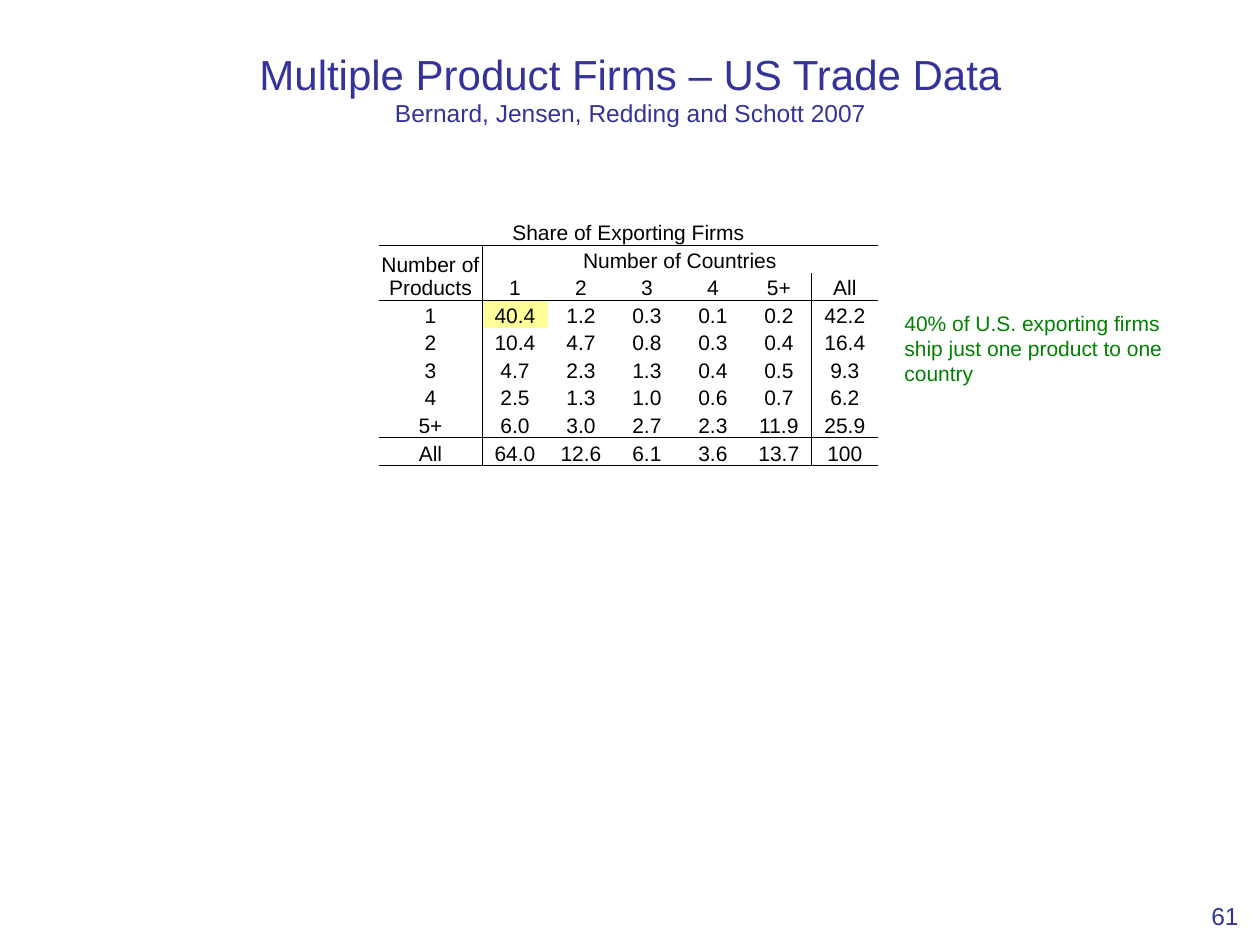
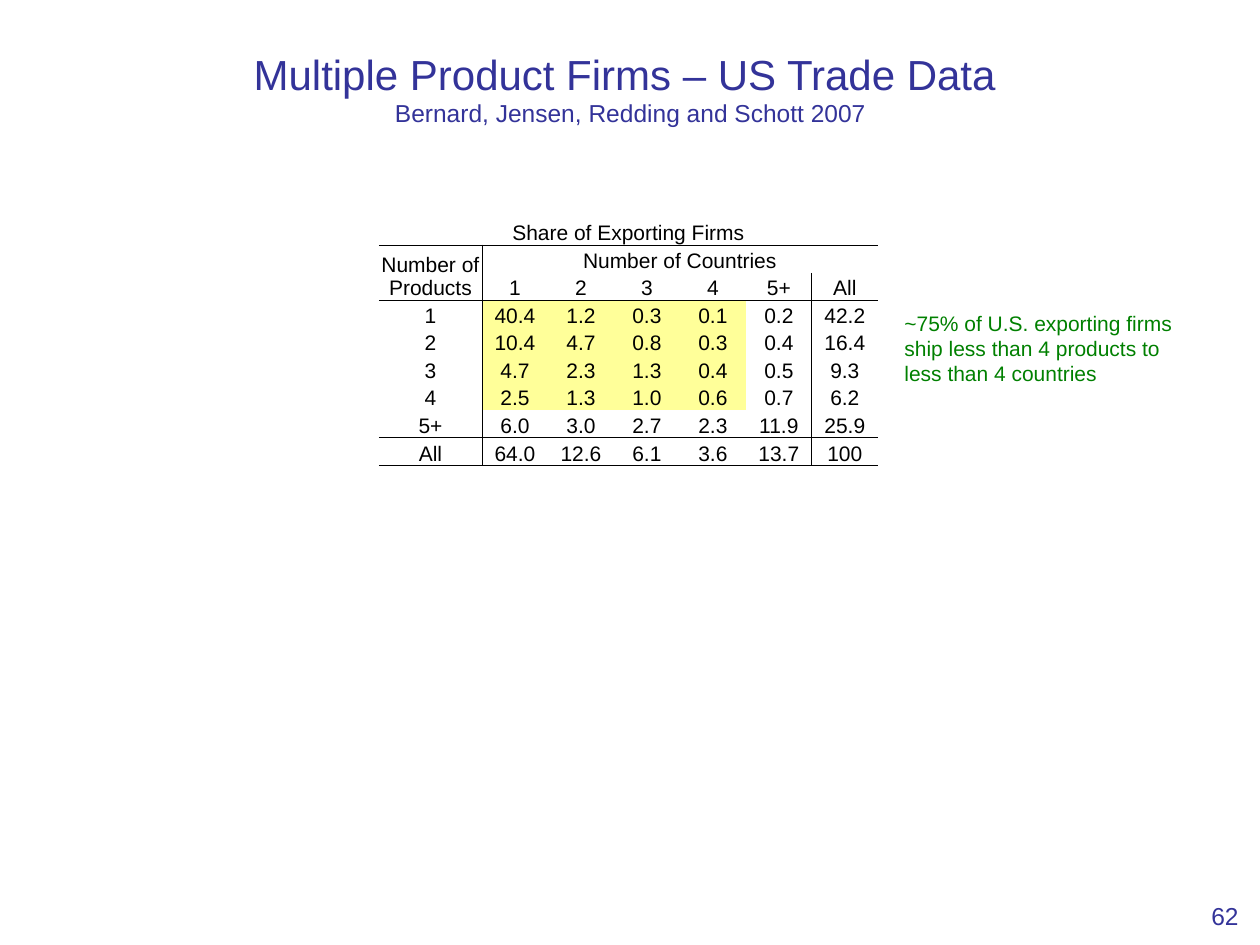
from dataclasses import dataclass

from lxml.etree import SubElement
from pptx import Presentation
from pptx.dml.color import RGBColor
from pptx.enum.text import MSO_ANCHOR, PP_ALIGN
from pptx.oxml.ns import qn
from pptx.slide import Slide
from pptx.table import Table, _Cell
from pptx.text.text import TextFrame
from pptx.util import Emu, Pt

FONT = "Arial"
COLORS = {"title": "333399", "text": "000000", "note": "008000", "mark": "FFFF99"}
NO_STYLE = "{2D5ABB26-0587-4C30-8999-92F81FD0307C}"
SUBTITLE = "Bernard, Jensen, Redding and Schott 2007"

SHARES = [
    ["Share of Exporting Firms"],
    ["Number of Products", "Number of Countries"],
    ["", "1", "2", "3", "4", "5+", "All"],
    ["1", "40.4", "1.2", "0.3", "0.1", "0.2", "42.2"],
    ["2", "10.4", "4.7", "0.8", "0.3", "0.4", "16.4"],
    ["3", "4.7", "2.3", "1.3", "0.4", "0.5", "9.3"],
    ["4", "2.5", "1.3", "1.0", "0.6", "0.7", "6.2"],
    ["5+", "6.0", "3.0", "2.7", "2.3", "11.9", "25.9"],
    ["All", "64.0", "12.6", "6.1", "3.6", "13.7", "100"],
]
MERGES = [((0, 0), (0, 6)), ((1, 0), (2, 0)), ((1, 1), (1, 6))]
COL_WIDTHS = [103] + [66] * 6
TABLE_HEIGHT = 248
FIRST_VALUE_ROW = 3
RULED_ROWS = {1, 3, 8, 9}
RULED_COLS = {1: 1, 6: 2}


@dataclass(frozen=True)
class Box:
    x: int
    y: int
    w: int
    h: int


@dataclass(frozen=True)
class ShareSlide:
    title: str
    number: str
    marked: int
    note: str


TITLE_BOX = Box(49, 38, 1163, 100)
NUMBER_BOX = Box(1183, 864, 68, 66)
TABLE_BOX = Box(379, 218, sum(COL_WIDTHS), TABLE_HEIGHT)
NOTE_BOX = Box(892, 304, 295, 89)

SLIDES = [
    ShareSlide("Multiple Product Firms – US Trade Data", "61", 1,
               "40% of U.S. exporting firms ship just one product to one country"),
    ShareSlide("Multiple Product Firms – US Trade Data ", "62", 4,
               "~75% of U.S. exporting firms ship less than 4 products to less than 4 countries"),
]


def px(n: int) -> Emu:
    return Emu(round(n * 914400 / 126))


def place(box: Box) -> list[Emu]:
    return [px(n) for n in (box.x, box.y, box.w, box.h)]


def write(tf: TextFrame, text: str, size: int, color: str, align: PP_ALIGN) -> None:
    p = tf.paragraphs[0]
    p.alignment = align
    p.font.name = FONT
    p.font.size = Pt(size)
    p.font.color.rgb = RGBColor.from_string(COLORS[color])
    p.add_run().text = text


def add_text(s: Slide, box: Box, text: str, size: int, color: str,
             align: PP_ALIGN, anchor: MSO_ANCHOR = MSO_ANCHOR.TOP) -> TextFrame:
    tf = s.shapes.add_textbox(*place(box)).text_frame
    tf.word_wrap = True
    tf.vertical_anchor = anchor
    write(tf, text, size, color, align)
    return tf


def add_title(s: Slide, title: str) -> None:
    tf = add_text(s, TITLE_BOX, title, 24, "title", PP_ALIGN.CENTER, MSO_ANCHOR.MIDDLE)
    p = tf.paragraphs[0]
    p.add_line_break()
    r = p.add_run()
    r.text = SUBTITLE
    r.font.size = Pt(14)


def add_number(s: Slide, number: str) -> None:
    tf = add_text(s, NUMBER_BOX, number, 14, "title", PP_ALIGN.RIGHT, MSO_ANCHOR.BOTTOM)
    tf.margin_bottom = 0


def set_borders(cell: _Cell, row: int, col: int) -> None:
    edges = {
        "a:lnL": row >= RULED_COLS.get(col, len(SHARES)),
        "a:lnR": row >= RULED_COLS.get(col + cell.span_width, len(SHARES)),
        "a:lnT": row in RULED_ROWS,
        "a:lnB": row + cell.span_height in RULED_ROWS,
    }
    tc_pr = cell._tc.get_or_add_tcPr()
    for tag, ruled in edges.items():
        ln = SubElement(tc_pr, qn(tag), w=str(Pt(0.5)))
        if ruled:
            fill = SubElement(ln, qn("a:solidFill"))
            SubElement(fill, qn("a:srgbClr"), val=COLORS["text"])
        else:
            SubElement(ln, qn("a:noFill"))


def style_cell(cell: _Cell, row: int, col: int, marked: int) -> None:
    cell.margin_left = cell.margin_right = cell.margin_top = px(1)
    cell.margin_bottom = 0
    cell.vertical_anchor = MSO_ANCHOR.BOTTOM
    set_borders(cell, row, col)
    if 0 <= row - FIRST_VALUE_ROW < marked and 1 <= col <= marked:
        cell.fill.solid()
        cell.fill.fore_color.rgb = RGBColor.from_string(COLORS["mark"])
    else:
        cell.fill.background()


def size_table(table: Table) -> None:
    for column, width in zip(table.columns, COL_WIDTHS):
        column.width = px(width)
    count = len(SHARES)
    for i, row in enumerate(table.rows):
        row.height = px((i + 1) * TABLE_HEIGHT // count - i * TABLE_HEIGHT // count)


def add_shares(s: Slide, marked: int) -> None:
    rows, cols = len(SHARES), len(COL_WIDTHS)
    table = s.shapes.add_table(rows, cols, *place(TABLE_BOX)).table
    table.first_row = table.horz_banding = False
    table._tbl.tblPr.find(qn("a:tableStyleId")).text = NO_STYLE
    size_table(table)
    for start, end in MERGES:
        table.cell(*start).merge(table.cell(*end))
    for row in range(rows):
        for col in range(cols):
            cell = table.cell(row, col)
            style_cell(cell, row, col, marked)
            if not cell.is_spanned:
                write(cell.text_frame, SHARES[row][col], 12, "text", PP_ALIGN.CENTER)


def main() -> None:
    prs = Presentation()
    prs.slide_width, prs.slide_height = px(1260), px(945)
    for item in SLIDES:
        s = prs.slides.add_slide(prs.slide_layouts[6])
        add_title(s, item.title)
        add_number(s, item.number)
        add_shares(s, item.marked)
        add_text(s, NOTE_BOX, item.note, 12, "note", PP_ALIGN.LEFT)
    prs.save("out.pptx")


if __name__ == "__main__":
    main()
